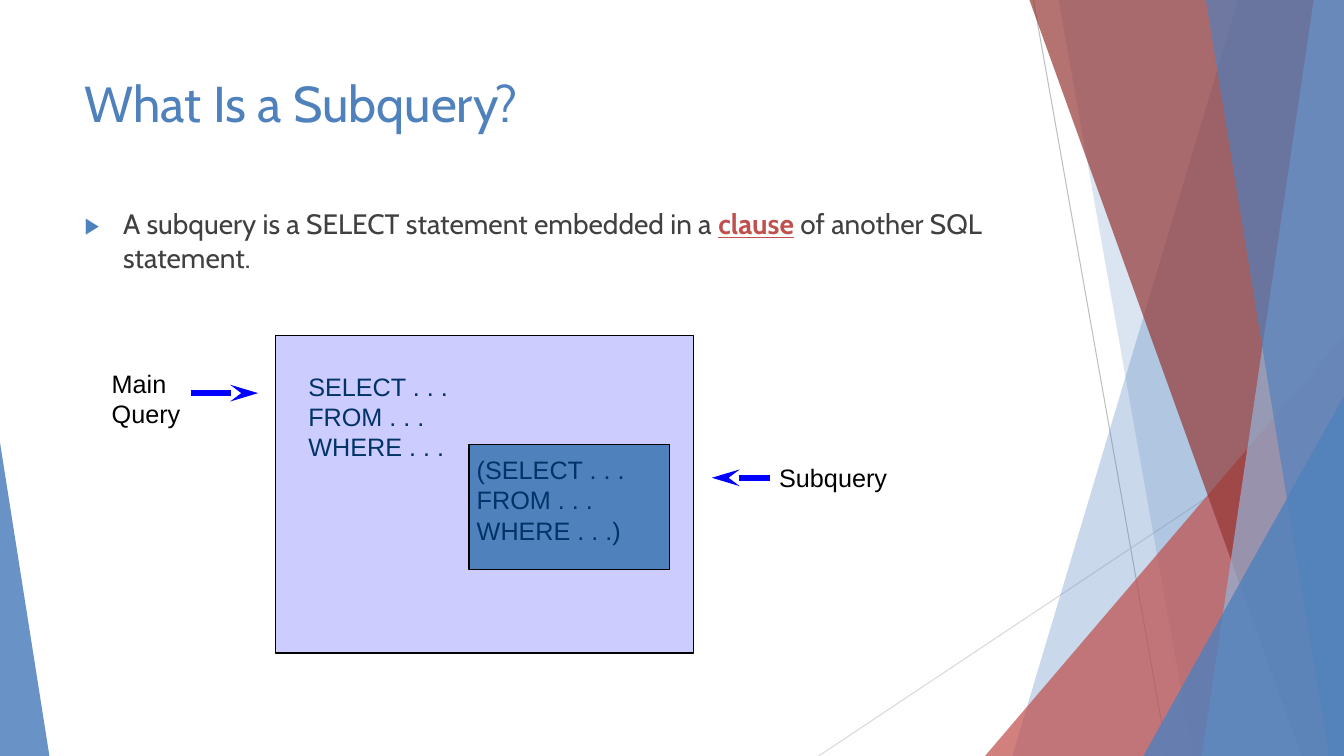
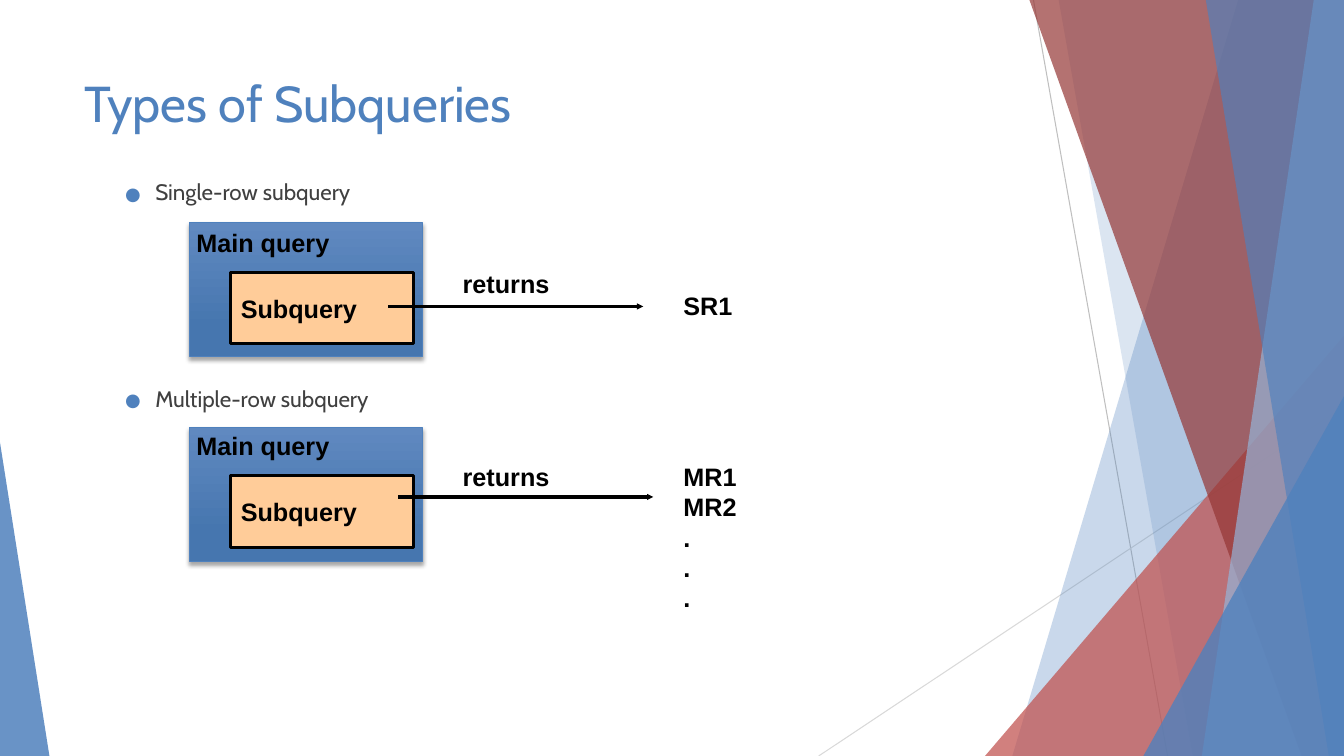
from dataclasses import dataclass

from lxml.etree import SubElement as sub
from pptx import Presentation
from pptx.dml.color import RGBColor
from pptx.enum.shapes import MSO_CONNECTOR as LINE, MSO_SHAPE as SHAPE
from pptx.enum.text import MSO_ANCHOR as ANCHOR, MSO_AUTO_SIZE as AUTO, PP_ALIGN as ALIGN
from pptx.oxml.ns import qn
from pptx.util import Inches, Pt


@dataclass(frozen=True)
class Theme:
    blue: str = "4F81BD"
    sky: str = "95B3D7"
    red: str = "C0504D"
    wine: str = "953735"
    gray: str = "404040"
    silver: str = "BFBFBF"
    pale: str = "D9D9D9"
    black: str = "000000"
    navy: str = "003366"
    lilac: str = "CCCCFF"
    peach: str = "FFCC99"
    vivid: str = "0000FF"
    light: str = "6089C0"
    deep: str = "4676AF"
    head: str = "Cabin"
    note: str = "Arial"
    title: int = 36
    body: int = 20
    item: int = 16
    label: int = 18


T = Theme()
rgb = RGBColor.from_string
WIDE, HIGH = 13.33, 7.5


def block(slide, box, text="", color=T.black, bold=False, fill=None, edge=1):
    spot = [Inches(n) for n in box]
    if fill:
        shape = slide.shapes.add_shape(SHAPE.RECTANGLE, *spot)
        shape.shadow.inherit = False
        shape.fill.solid()
        shape.fill.fore_color.rgb = rgb(fill)
        shape.line.color.rgb = rgb(T.black)
        shape.line.width = Pt(edge)
    else:
        shape = slide.shapes.add_textbox(*spot)
    frame = shape.text_frame
    frame.word_wrap = True
    frame.vertical_anchor = ANCHOR.MIDDLE if fill else ANCHOR.TOP
    frame.text = text
    for para in frame.paragraphs:
        para.alignment = ALIGN.LEFT
        for run in para.runs:
            font = run.font
            font.name, font.size, font.bold = T.note, Pt(T.label), bold
            font.color.rgb = rgb(color)
    return shape


def stroke(slide, ends, color, width, head=None):
    line = slide.shapes.add_connector(LINE.STRAIGHT, *[Inches(n) for n in ends])
    line.line.color.rgb = rgb(color)
    line.line.width = Pt(width)
    props = line.element.spPr
    if head:
        kind, span, size = head
        sub(props.find(qn("a:ln")), qn("a:tailEnd"), type=kind, w=span, len=size)
    sub(props, qn("a:effectLst"))


deck = Presentation()
deck.slide_width, deck.slide_height = Inches(WIDE), Inches(HIGH)
layout = deck.slide_layouts[1]
first, second = [deck.slides.add_slide(layout) for _ in range(2)]

stroke(first, (10.25, 0, 11.58, HIGH), T.silver, 0.75)
stroke(first, (WIDE, 4.03, 8.12, HIGH), T.pale, 0.75)
decor = [
    ((12.28, 10.04), T.blue, 30),
    ((10.5, 11.83), T.blue, 20),
    ((9.77, 3.33, 3.56, 1), T.red, 72),
    ((10.21, 12.91), T.wine, 70),
    ((13.03, 11.92), T.sky, 70),
    ((11.96, 13.18), T.blue, 65),
    ((11.34, 3.93, 1.99, 1), T.blue, 80),
    ((0, 4.39, 0.49, 0), T.blue, 85),
]
for spot, color, alpha in decor:
    if len(spot) == 2:
        upper, lower = spot
        pen = first.shapes.build_freeform(Inches(upper), 0)
        corners = [(WIDE, 0), (WIDE, HIGH), (lower, HIGH)]
        pen.add_line_segments([(Inches(x), Inches(y)) for x, y in corners])
        shape = pen.convert_to_shape()
    else:
        left, top, width, tip = spot
        area = [Inches(n) for n in (left, top, width, HIGH - top)]
        shape = first.shapes.add_shape(SHAPE.ISOSCELES_TRIANGLE, *area)
        shape.adjustments[0] = tip
    shape.shadow.inherit = False
    shape.fill.solid()
    shape.fill.fore_color.rgb = rgb(color)
    shape.line.fill.background()
    tint = shape.element.spPr.find(qn("a:solidFill")).find(qn("a:srgbClr"))
    sub(tint, qn("a:alpha"), val=str(alpha * 1000))

parts = [shape.element for shape in first.shapes if not shape.is_placeholder]
for index, part in enumerate(parts):
    part.xpath(".//p:cNvPr")[0].set("id", str(100 + index))
    layout.shapes.element.insert(2 + index, part)

heads = [
    (first, "What Is a Subquery?", (0.74, 0.67, 9.4, 1.44)),
    (second, "Types of Subqueries", (0.74, 0.67, 10.13, 1.57)),
]
for slide, text, box in heads:
    title = slide.shapes.title
    title.left, title.top, title.width, title.height = [Inches(n) for n in box]
    frame = title.text_frame
    frame.text = text
    frame.auto_size, frame.vertical_anchor = AUTO.NONE, ANCHOR.TOP
    para = frame.paragraphs[0]
    para.alignment = ALIGN.LEFT
    font = para.runs[0].font
    font.name, font.size = T.head, Pt(T.title)
    font.color.rgb = rgb(T.blue)

claim = ["A subquery is a SELECT statement embedded in a ", "clause", " of another SQL statement."]
lists = [
    (first, (0.74, 2, 9.4, 4.61), [claim], 0, T.body, "▶", 0.38, 0.38, 10),
    (second, (0.74, 1.72, 8.7, 2.63), [["Single-row subquery"], ["Multiple-row subquery"]],
     1, T.item, "●", 0.7, 0.3, 128.5),
]
for slide, box, items, level, size, mark, margin, hang, gap in lists:
    body = slide.placeholders[1]
    body.left, body.top, body.width, body.height = [Inches(n) for n in box]
    frame = body.text_frame
    frame.auto_size = AUTO.NONE
    for index, item in enumerate(items):
        para = frame.add_paragraph() if index else frame.paragraphs[0]
        para.level = level
        para.space_before = Pt(gap if index else 10)
        props = para._p.get_or_add_pPr()
        props.set("marL", str(Inches(margin)))
        props.set("indent", str(-Inches(hang)))
        sub(sub(props, qn("a:buClr")), qn("a:srgbClr"), val=T.blue)
        sub(props, qn("a:buSzPct"), val="80000")
        sub(props, qn("a:buFont"), typeface="Noto Sans Symbols")
        sub(props, qn("a:buChar"), char=mark)
        for text in item:
            run = para.add_run()
            run.text = text
            key = text == "clause"
            font = run.font
            font.name, font.size = T.head, Pt(size)
            font.bold = font.underline = key
            font.color.rgb = rgb(T.red if key else T.gray)

block(first, (2.73, 3.33, 4.15, 3.15), fill=T.lilac)
block(first, (2.96, 3.63, 1.67, 1), "SELECT . . .\nFROM . . .\nWHERE . . .", T.navy)
block(first, (4.65, 4.41, 1.99, 1.24), fill=T.blue)
block(first, (4.63, 4.46, 1.75, 1), "(SELECT . . .\nFROM . . .\nWHERE . . .)", T.navy)
block(first, (1.01, 3.6, 0.95, 0.7), "Main\nQuery")
block(first, (7.63, 4.54, 1.3, 0.4), "Subquery")
for ends in [(1.89, 3.9, 2.56, 3.9), (7.64, 4.74, 7.06, 4.74)]:
    stroke(first, ends, T.vivid, 4, ("stealth", "med", "lg"))

flows = [
    (2.21, 2.21, 2.7, (3.85, 3.04), 2.61, 2.83, "SR1"),
    (4.24, 4.22, 4.72, (3.95, 4.93), 4.53, 4.53, "MR1\nMR2\n.\n.\n."),
]
for top, head, inner, (left, mid), verb, end, rows in flows:
    main = block(second, (1.88, top, 2.31, 1.33), fill=T.blue)
    main.line.color.rgb = rgb(T.blue)
    main.fill.gradient()
    main.fill.gradient_angle = 270
    for stop, place, color in zip(main.fill.gradient_stops, (0, 0.78), (T.light, T.deep)):
        stop.position = place
        stop.color.rgb = rgb(color)
    glow = sub(main.element.spPr.find(qn("a:effectLst")), qn("a:outerShdw"),
               blurRad=str(Pt(3)), dist=str(Pt(2)), dir="5400000", rotWithShape="0")
    sub(sub(glow, qn("a:srgbClr"), val=T.black), qn("a:alpha"), val="35000")
    block(second, (1.85, head, 1.64, 0.4), "Main query", bold=True)
    block(second, (2.29, inner, 1.81, 0.71), "Subquery", bold=True, fill=T.peach, edge=2.25)
    stroke(second, (left, mid, left + 2.53, mid), T.black, 2.25, ("triangle", "sm", "sm"))
    block(second, (4.49, verb, 1.15, 0.4), "returns", bold=True)
    block(second, (6.68, end, 1.64, 0.4 * len(rows.split())), rows, bold=True)

deck.save("out.pptx")
